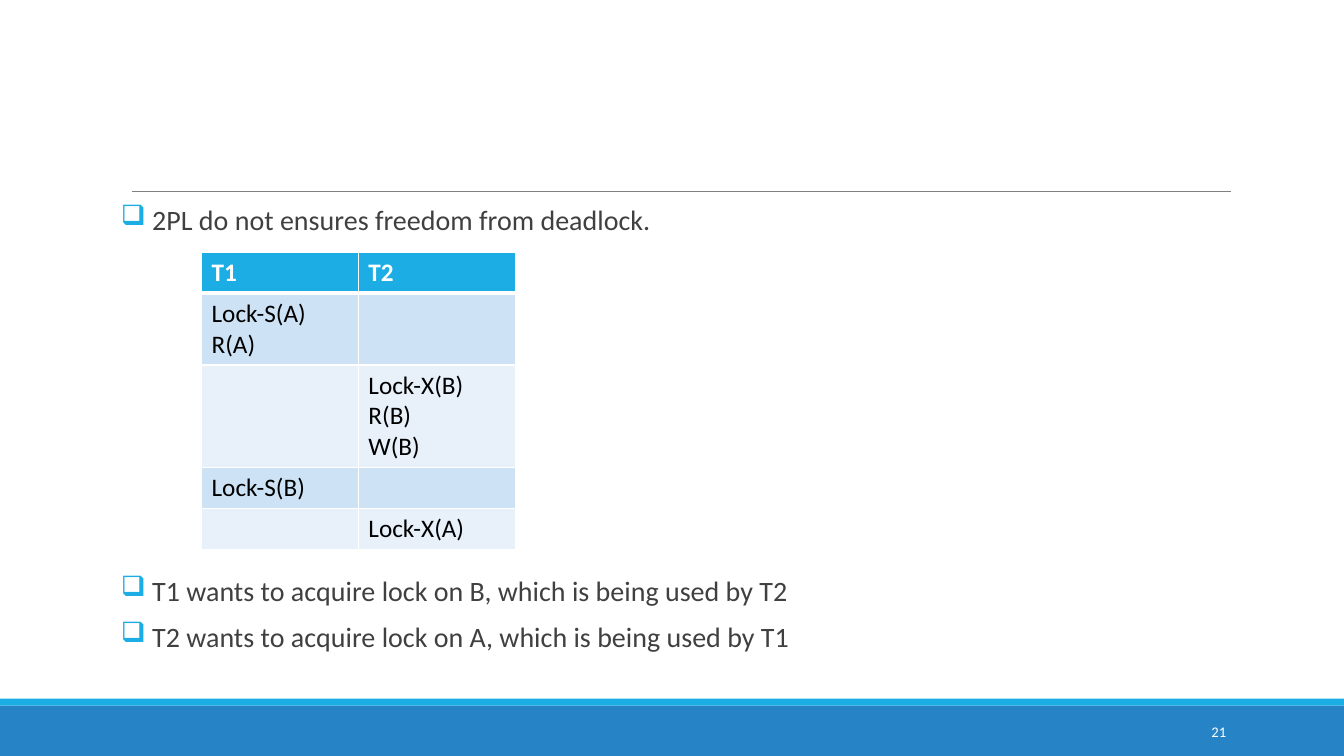
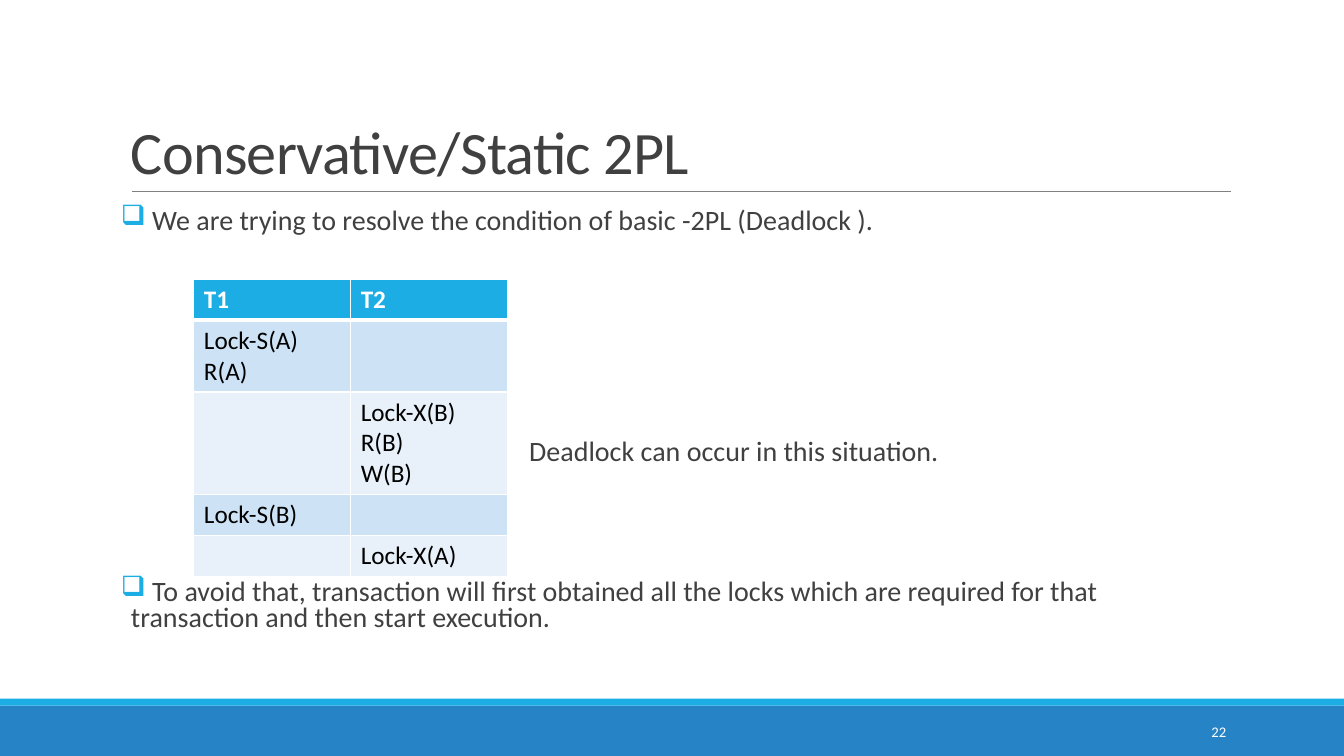
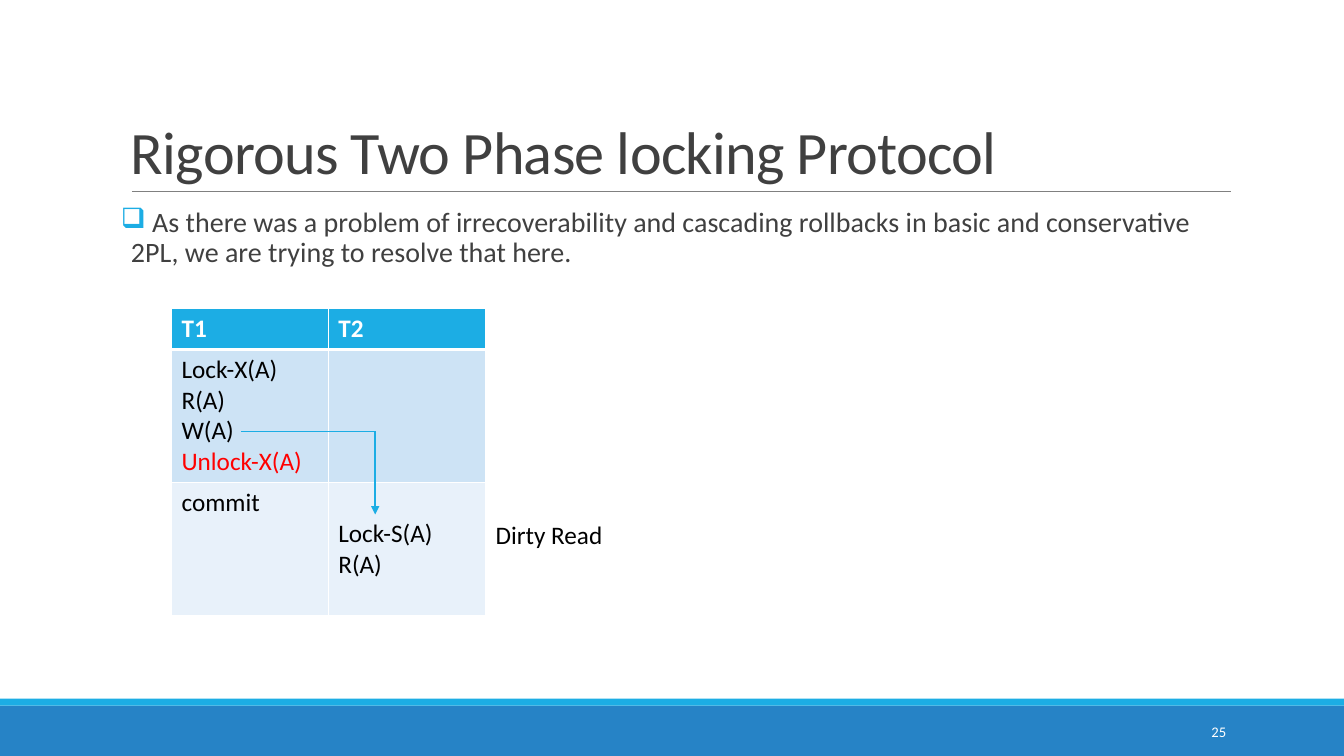
from lxml import etree
from pptx import Presentation
from pptx.dml.color import RGBColor
from pptx.enum.shapes import MSO_CONNECTOR, MSO_SHAPE
from pptx.enum.text import MSO_ANCHOR, PP_ALIGN
from pptx.oxml.ns import qn
from pptx.util import Pt

RECTANGLE = MSO_SHAPE.RECTANGLE
STRAIGHT = MSO_CONNECTOR.STRAIGHT
TOP, MIDDLE, BOTTOM = MSO_ANCHOR.TOP, MSO_ANCHOR.MIDDLE, MSO_ANCHOR.BOTTOM
LEFT, RIGHT = PP_ALIGN.LEFT, PP_ALIGN.RIGHT

FONT = "Calibri"
WHITE, BLACK, RED = "FFFFFF", "000000", "FF0000"
ACCENT, BAND, RULE, TEXT = "1CADE4", "2683C6", "808080", "404040"
ROW_FILLS = ("CDE3F5", "E8F1FA")

PAGE_WIDTH, PAGE_HEIGHT = 960, 540
BODY_LEFT, BODY_TOP, BODY_WIDTH = 86.4, 145.4, 792
BODY_PITCH = 33.13
CELL_PADDING, CELL_LINE = 3.6, 22
COLUMN_WIDTH = 112

DEADLOCK_ROWS = [
    (2, ["Lock-S(A)", "R(A)"], []),
    (3, [], ["Lock-X(B)", "R(B)", "W(B)"]),
    (1, ["Lock-S(B)"], []),
    (1, [], ["Lock-X(A)"]),
]
DIRTY_READ_ROWS = [
    (4, ["Lock-X(A)", "R(A)", "W(A)", "Unlock-X(A)"], []),
    (4, ["commit"], ["Lock-S(A)", "R(A)"]),
]


def color(value):
    return RGBColor.from_string(value)


def add_span(para, text, size, fill, bold=False):
    span = para.add_run()
    span.text = text
    span.font.name = FONT
    span.font.size = Pt(size)
    span.font.bold = bold
    span.font.color.rgb = color(fill)
    return span


def add_box(page, left, top, width, height, anchor=TOP, side=7.2):
    box = page.shapes.add_textbox(Pt(left), Pt(top), Pt(width), Pt(height))
    frame = box.text_frame
    frame.word_wrap = True
    frame.vertical_anchor = anchor
    frame.margin_left = frame.margin_right = Pt(side)
    return frame


def add_label(page, text, left, top, width, height, size, fill,
              anchor=TOP, align=LEFT):
    para = add_box(page, left, top, width, height, anchor).paragraphs[0]
    para.alignment = align
    return para, add_span(para, text, size, fill)


def add_band(page, top, height, fill):
    band = page.shapes.add_shape(RECTANGLE, 0, Pt(top), Pt(PAGE_WIDTH), Pt(height))
    band.shadow.inherit = False
    band.fill.solid()
    band.fill.fore_color.rgb = color(fill)
    band.line.fill.background()


def add_line(page, start, end, fill, width, arrow=False):
    line = page.shapes.add_connector(
        STRAIGHT, *(Pt(value) for value in (*start, *end)))
    line.line.color.rgb = color(fill)
    line.line.width = Pt(width)
    properties = line._element.spPr
    if arrow:
        etree.SubElement(properties.find(qn("a:ln")), qn("a:tailEnd"), type="triangle")
    etree.SubElement(properties, qn("a:effectLst"))


def add_bullet(para):
    properties = para._p.get_or_add_pPr()
    properties.set("marL", str(Pt(7.2)))
    properties.set("indent", str(-Pt(7.2)))
    tint = etree.SubElement(properties, qn("a:buClr"))
    etree.SubElement(tint, qn("a:srgbClr"), val=ACCENT)
    etree.SubElement(properties, qn("a:buChar"), char="❑")


def add_body(page, row, texts, spacing=0.8, left=BODY_LEFT, bulleted=True):
    """Place body lines, starting on the given row of the body grid."""
    frame = add_box(page, left, BODY_TOP + row * BODY_PITCH,
                    BODY_LEFT + BODY_WIDTH - left, len(texts) * 40, side=0)
    for index, text in enumerate(texts):
        para = frame.add_paragraph() if index else frame.paragraphs[0]
        if bulleted:
            add_bullet(para)
        para.line_spacing = spacing
        para.space_before = Pt(12 if index else 0)
        para.space_after = Pt(2)
        add_span(para, f" {text}" if bulleted else text, 20, TEXT)


def style_cell(cell, fill, bottom_width):
    properties = cell._tc.get_or_add_tcPr()
    for side in ("lnL", "lnR", "lnT", "lnB"):
        width = bottom_width if side == "lnB" else 1
        border = etree.SubElement(properties, qn(f"a:{side}"), w=str(Pt(width)))
        solid = etree.SubElement(border, qn("a:solidFill"))
        etree.SubElement(solid, qn("a:srgbClr"), val=WHITE)
    cell.fill.solid()
    cell.fill.fore_color.rgb = color(fill)


def add_schedule(page, left, top, rows):
    """Add a table of the steps of T1 and T2; each row gives its line count."""
    rows = [(1, ["T1"], ["T2"]), *rows]
    heights = [2 * CELL_PADDING + CELL_LINE * lines for lines, *_ in rows]
    table = page.shapes.add_table(
        len(rows), 2, Pt(left), Pt(top), Pt(2 * COLUMN_WIDTH), Pt(sum(heights))).table
    for column in table.columns:
        column.width = Pt(COLUMN_WIDTH)
    for row, (_, *columns) in enumerate(rows):
        header = row == 0
        table.rows[row].height = Pt(heights[row])
        for column, steps in enumerate(columns):
            cell = table.cell(row, column)
            style_cell(cell, ACCENT if header else ROW_FILLS[(row - 1) % 2],
                       3 if header else 1)
            frame = cell.text_frame
            frame.paragraphs[0].font.size = Pt(18)
            for index, step in enumerate(steps):
                para = frame.add_paragraph() if index else frame.paragraphs[0]
                ink = RED if step.startswith("Unlock") else BLACK
                add_span(para, step, 18, WHITE if header else ink, header)
    return table


def add_page(deck, number, title=None):
    page = deck.slides.add_slide(deck.slide_layouts[6])
    add_band(page, 504, 36, BAND)
    add_band(page, 499, 5, ACCENT)
    add_line(page, (94.3, 136.8), (879.1, 136.8), RULE, 0.5)
    if title:
        para, span = add_label(page, title, BODY_LEFT, 22.3, BODY_WIDTH, 114.5,
                               43, TEXT, BOTTOM)
        para.line_spacing = 0.85
        span._r.get_or_add_rPr().set("spc", "-50")
    add_label(page, number, 780, 508.5, 103, 28.8, 10.5, WHITE, MIDDLE, RIGHT)
    return page


def add_deadlock_page(deck):
    page = add_page(deck, "21")
    add_body(page, 0, ["2PL do not ensures freedom from deadlock."])
    add_body(page, 8, ["T1 wants to acquire lock on B, which is being used by T2",
                       "T2 wants to acquire lock on A, which is being used by T1"])
    add_schedule(page, 144, 180.3, DEADLOCK_ROWS)


def add_conservative_page(deck):
    page = add_page(deck, "22", "Conservative/Static 2PL")
    add_body(page, 0, ["We are trying to resolve the condition of basic -2PL (Deadlock )."])
    add_body(page, 5, ["Deadlock can occur in this situation."], left=378, bulleted=False)
    add_body(page, 8, ["To avoid that, transaction will first obtained all the locks which "
                       "are required for that transaction and then start execution."])
    add_schedule(page, 138.5, 199.6, DEADLOCK_ROWS)


def add_rigorous_page(deck):
    page = add_page(deck, "25", "Rigorous Two Phase locking Protocol")
    add_body(page, 0, ["As there was a problem of irrecoverability and cascading rollbacks "
                       "in basic and conservative 2PL, we are trying to resolve that here."],
             spacing=0.9)
    table = add_schedule(page, 122.5, 220.4, DIRTY_READ_ROWS)
    table.cell(2, 1).margin_top = Pt(CELL_PADDING + CELL_LINE)
    corner = (268, 308.2)
    add_line(page, (172, 308.2), corner, ACCENT, 1)
    add_line(page, corner, (268, 367.5), ACCENT, 1, arrow=True)
    add_label(page, "Dirty Read", 347, 367.5, 103, 29, 18, BLACK)


def main():
    deck = Presentation()
    deck.slide_width, deck.slide_height = Pt(PAGE_WIDTH), Pt(PAGE_HEIGHT)
    add_deadlock_page(deck)
    add_conservative_page(deck)
    add_rigorous_page(deck)
    deck.save("out.pptx")


if __name__ == "__main__":
    main()
